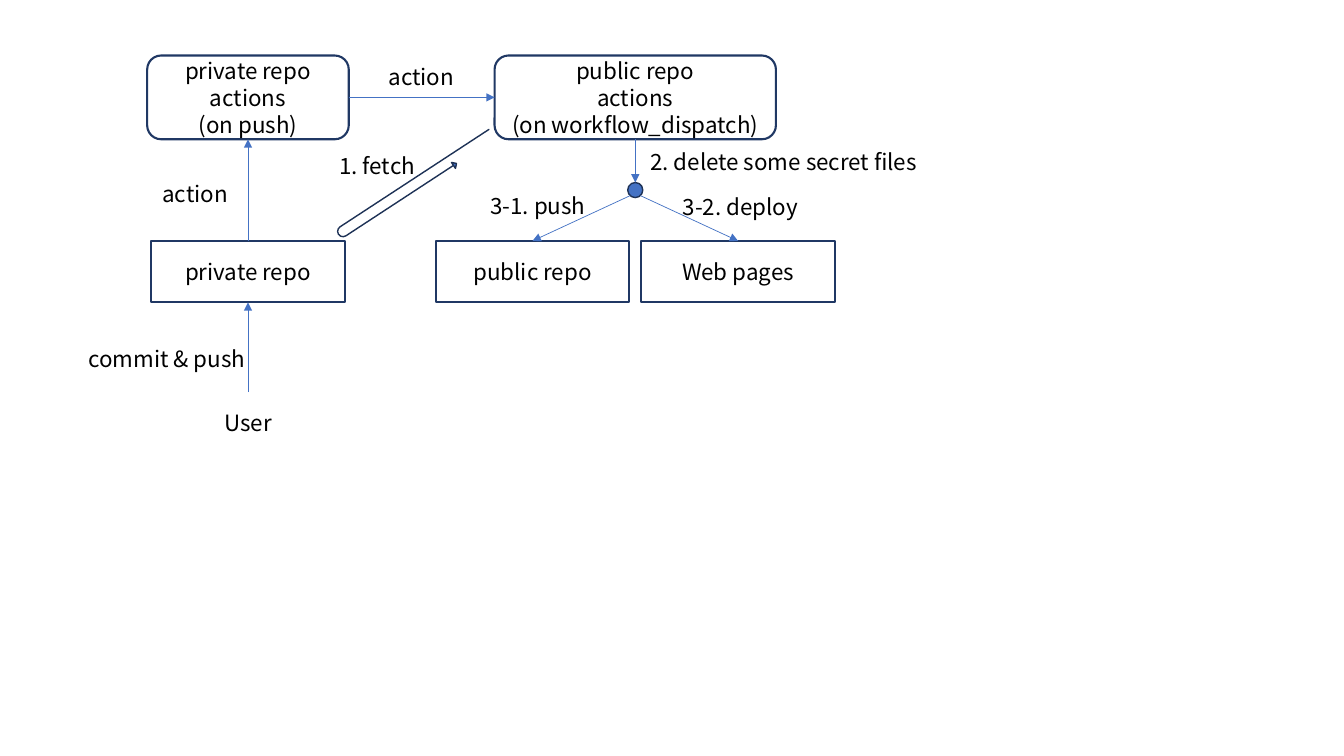
import dataclasses

import pptx
import pptx.dml.color
import pptx.enum.shapes
import pptx.enum.text
import pptx.oxml
import pptx.oxml.ns
import pptx.util

Cm = pptx.util.Cm
Pt = pptx.util.Pt
ShapeType = pptx.enum.shapes.MSO_SHAPE
Align = pptx.enum.text.PP_ALIGN
Anchor = pptx.enum.text.MSO_ANCHOR

COLOURS = {
    "text": "000000",
    "box line": "203864",
    "accent": "4472C4",
    "accent line": "1E3256",
}
FONT = "Noto Sans CJK JP"
FONT_SIZE = 16

# Centre lines of the columns and edges of the rows, in centimetres
PRIVATE_X, PUBLIC_X, DISPATCH_X, PAGES_X = 6.25, 13.42, 16.01, 18.6
ACTIONS_TOP, ACTIONS_HEIGHT = 1.4, 2.11
ACTIONS_MIDDLE = ACTIONS_TOP + ACTIONS_HEIGHT / 2
ACTIONS_BOTTOM = ACTIONS_TOP + ACTIONS_HEIGHT
PRIVATE_WIDTH, DISPATCH_WIDTH = 5.08, 7.09
REPO_TOP, REPO_WIDTH, REPO_HEIGHT = 6.07, 4.88, 1.55
USER_TOP = 9.88
DOT_TOP, DOT_SIZE = 4.6, 0.38
DOT_EXIT_Y, DOT_EXIT_OFFSET = 4.93, 0.13
LABEL_HEIGHT = 0.94


@dataclasses.dataclass(frozen=True)
class Box:
    text: str
    centre: float
    top: float
    width: float
    height: float
    preset: ShapeType = ShapeType.RECTANGLE


@dataclasses.dataclass(frozen=True)
class Arrow:
    start_x: float
    start_y: float
    end_x: float
    end_y: float


@dataclasses.dataclass(frozen=True)
class Label:
    text: str
    left: float
    top: float
    width: float
    height: float = LABEL_HEIGHT
    align: Align = Align.LEFT
    anchor: Anchor = Anchor.TOP


BOXES = [
    Box("private repo\vactions\n(on push)", PRIVATE_X, ACTIONS_TOP,
        PRIVATE_WIDTH, ACTIONS_HEIGHT, ShapeType.ROUNDED_RECTANGLE),
    Box("public repo\nactions\n(on workflow_dispatch)", DISPATCH_X, ACTIONS_TOP,
        DISPATCH_WIDTH, ACTIONS_HEIGHT, ShapeType.ROUNDED_RECTANGLE),
    Box("private repo", PRIVATE_X, REPO_TOP, REPO_WIDTH, REPO_HEIGHT),
    Box("Web pages", PAGES_X, REPO_TOP, REPO_WIDTH, REPO_HEIGHT),
    Box("public repo", PUBLIC_X, REPO_TOP, REPO_WIDTH, REPO_HEIGHT),
]

ARROWS = [
    Arrow(PRIVATE_X, REPO_TOP, PRIVATE_X, ACTIONS_BOTTOM),
    Arrow(PRIVATE_X + PRIVATE_WIDTH / 2, ACTIONS_MIDDLE,
          DISPATCH_X - DISPATCH_WIDTH / 2, ACTIONS_MIDDLE),
    Arrow(DISPATCH_X, ACTIONS_BOTTOM, DISPATCH_X, DOT_TOP),
    Arrow(DISPATCH_X - DOT_EXIT_OFFSET, DOT_EXIT_Y, PUBLIC_X, REPO_TOP),
    Arrow(DISPATCH_X + DOT_EXIT_OFFSET, DOT_EXIT_Y, PAGES_X, REPO_TOP),
    Arrow(PRIVATE_X, USER_TOP, PRIVATE_X, REPO_TOP + REPO_HEIGHT),
]

LABELS = [
    Label("User", PRIVATE_X - REPO_WIDTH / 2, USER_TOP, REPO_WIDTH, REPO_HEIGHT,
          Align.CENTER, Anchor.MIDDLE),
    Label("commit & push", 1.98, 8.58, 4.57),
    Label("3-1. push", 12.11, 4.72, 3.2),
    Label("3-2. deploy", 16.96, 4.75, 5.99),
    Label("2. delete some secret files", 16.14, 3.61, 7.54),
    Label("action", 9.49, 1.46, 2.26, align=Align.CENTER),
    Label("action", 3.79, 4.42, 2.26, align=Align.CENTER),
    Label("1. fetch", 8.3, 3.71, 2.51),
]


def colour(name: str) -> pptx.dml.color.RGBColor:
    return pptx.dml.color.RGBColor.from_string(COLOURS[name])


def write_text(shape, text: str, align: Align, anchor: Anchor) -> None:
    text_frame = shape.text_frame
    text_frame.text = text
    text_frame.word_wrap = True
    text_frame.vertical_anchor = anchor
    for paragraph in text_frame.paragraphs:
        paragraph.alignment = align
        for run in paragraph.runs:
            run.font.name = FONT
            run.font.size = Pt(FONT_SIZE)
            run.font.color.rgb = colour("text")


def draw_box(slide, box: Box) -> None:
    shape = slide.shapes.add_shape(
        box.preset, Cm(box.centre - box.width / 2), Cm(box.top),
        Cm(box.width), Cm(box.height))
    shape.shadow.inherit = False
    shape.fill.background()
    shape.line.color.rgb = colour("box line")
    shape.line.width = Pt(1.5)
    write_text(shape, box.text, Align.CENTER, Anchor.MIDDLE)


def draw_arrow(slide, arrow: Arrow) -> None:
    connector = slide.shapes.add_connector(
        pptx.enum.shapes.MSO_CONNECTOR.STRAIGHT,
        Cm(arrow.start_x), Cm(arrow.start_y), Cm(arrow.end_x), Cm(arrow.end_y))
    connector.line.color.rgb = colour("accent")
    connector.line.width = Pt(0.5)
    namespace = pptx.oxml.ns.nsdecls("a")
    connector.line._get_or_add_ln().append(
        pptx.oxml.parse_xml(f'<a:tailEnd {namespace} type="triangle"/>'))
    connector._element.spPr.append(
        pptx.oxml.parse_xml(f"<a:effectLst {namespace}/>"))


def draw_label(slide, label: Label) -> None:
    shape = slide.shapes.add_textbox(
        Cm(label.left), Cm(label.top), Cm(label.width), Cm(label.height))
    write_text(shape, label.text, label.align, label.anchor)


def add_accent_shape(slide, preset: ShapeType, left: float, top: float,
                     width: float, height: float):
    shape = slide.shapes.add_shape(preset, Cm(left), Cm(top), Cm(width), Cm(height))
    shape.shadow.inherit = False
    shape.fill.solid()
    shape.fill.fore_color.rgb = colour("accent")
    shape.line.color.rgb = colour("accent line")
    shape.line.width = Pt(1)
    return shape


def draw_fetch_arrow(slide) -> None:
    """Draw the thin U-turn from the public actions to the private repo and back."""
    shape = add_accent_shape(slide, ShapeType.U_TURN_ARROW, 10.31, 2.37, 0.36, 4.62)
    for index, value in enumerate((0, 0.25, 0.25, 0.44, 0.75)):
        shape.adjustments[index] = value
    shape.rotation = 236.8
    shape._element.spPr.xfrm.set("flipH", "1")


def main() -> None:
    presentation = pptx.Presentation()
    presentation.slide_width = Cm(33.87)
    presentation.slide_height = Cm(19.05)
    slide = presentation.slides.add_slide(presentation.slide_layouts[6])
    for box in BOXES:
        draw_box(slide, box)
    add_accent_shape(slide, ShapeType.OVAL, DISPATCH_X - DOT_SIZE / 2, DOT_TOP,
                     DOT_SIZE, DOT_SIZE)
    for arrow in ARROWS:
        draw_arrow(slide, arrow)
    draw_fetch_arrow(slide)
    for label in LABELS:
        draw_label(slide, label)
    presentation.save("out.pptx")


if __name__ == "__main__":
    main()
